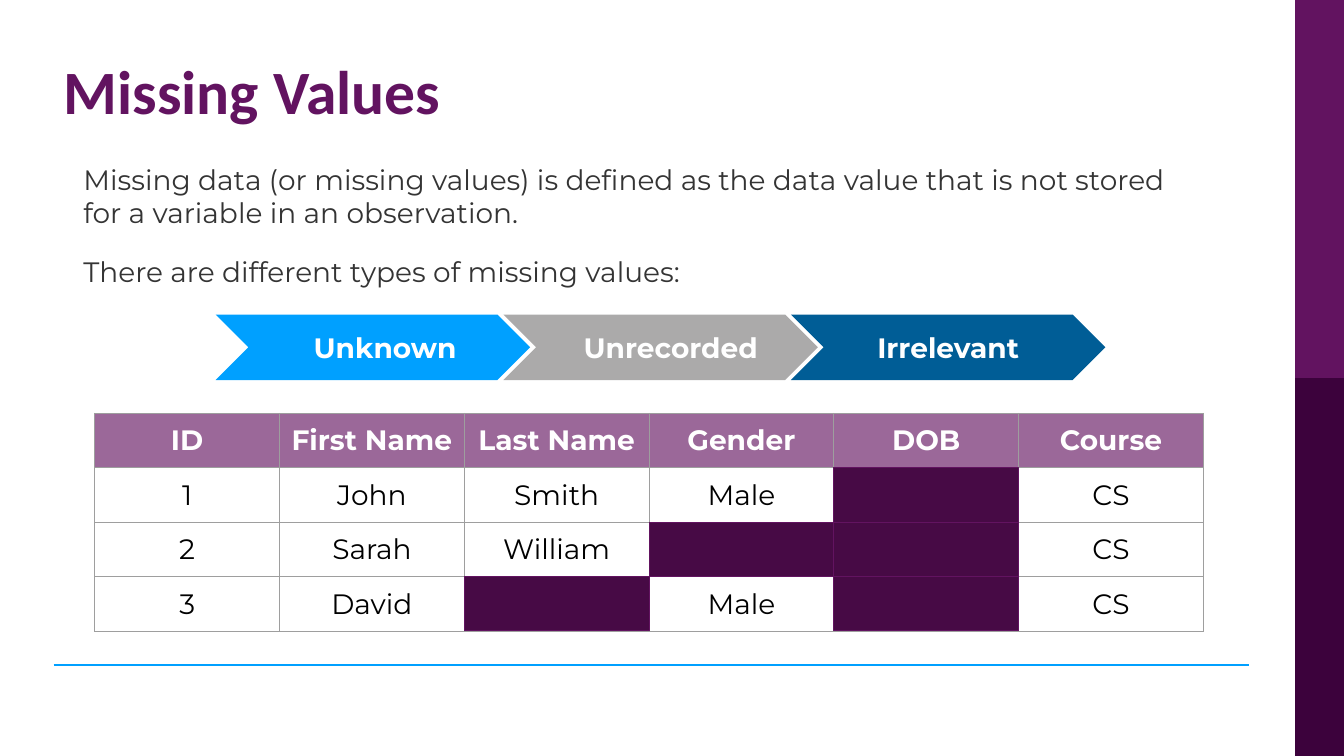
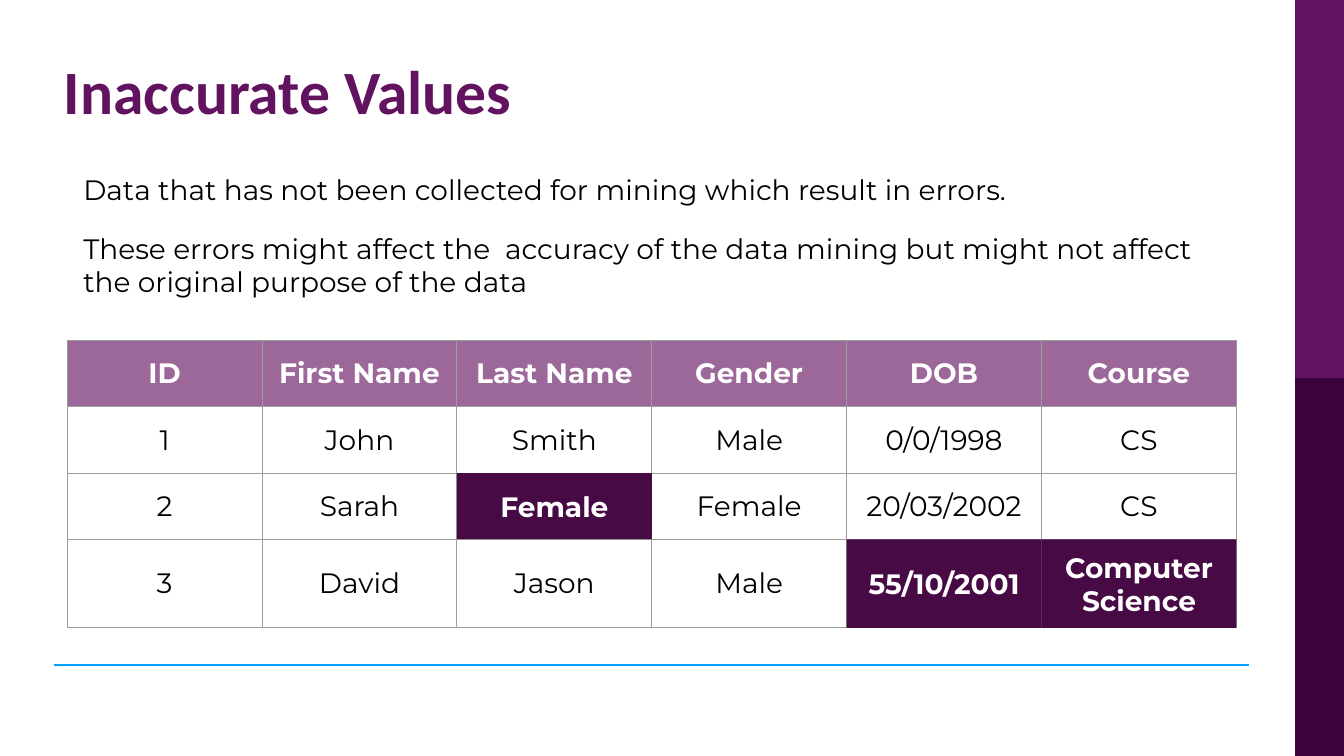
"""Build two slides on missing and inaccurate values in data."""
from dataclasses import dataclass
from typing import Optional

from lxml.etree import SubElement
from pptx import Presentation
from pptx.dml.color import RGBColor
from pptx.enum.shapes import MSO_CONNECTOR as Connector, MSO_SHAPE as Preset
from pptx.enum.text import MSO_ANCHOR as Anchor, MSO_AUTO_SIZE as AutoSize, PP_ALIGN as Align
from pptx.oxml.ns import qn
from pptx.util import Inches, Length, Pt

COLUMNS, ROWS = 40, 22.5
CELL = 1 / 3
HEADING_FONT, BODY_FONT = "Calibri", "Montserrat"
COLOURS = {
    "purple": "621360",
    "dark": "3C023C",
    "mask": "470A45",
    "header": "62105F",
    "rule": "00A0FF",
    "grey": "ABAAAA",
    "blue": "005D96",
    "border": "9E9E9E",
    "slate": "343434",
    "black": "000000",
    "white": "FFFFFF",
}


@dataclass(frozen=True)
class Area:
    """A rectangle measured in grid cells."""
    left: float
    top: float
    width: float
    height: float

    def lengths(self) -> tuple:
        return tuple(map(cells, (self.left, self.top, self.width, self.height)))


@dataclass(frozen=True)
class Band:
    area: Area
    colour: str


@dataclass(frozen=True)
class Step:
    label: str
    colour: str
    left_inset: float


@dataclass(frozen=True)
class DataTable:
    left: float
    top: float
    column_width: float
    row_heights: tuple
    records: tuple
    masked: tuple
    mask_line: Optional[str] = None


@dataclass(frozen=True)
class Page:
    title: str
    body: tuple
    body_top: float
    body_colour: str
    table: DataTable
    steps: tuple = ()


TITLE_AREA = Area(1.6, 1.83, 35.5, 3)
BANDS = (
    Band(Area(38.55, ROWS / 2, 1.45, ROWS / 2), "dark"),
    Band(Area(38.55, 0, 1.45, ROWS / 2), "purple"),
)
RULE = Area(1.6, 19.8, 35.57, 0)
FIRST_STEP = Area(6.42, 9.36, 9.36, 1.95)
STEP_PITCH = 8.56
HEADER = ("ID", "First Name", "Last Name", "Gender", "DOB", "Course")

PAGES = (
    Page(
        "Missing Values",
        (
            "Missing data (or missing values) is defined as the data value that is not stored "
            "for a variable in an observation.",
            "There are different types of missing values:",
        ),
        4.53,
        "slate",
        DataTable(
            2.82, 12.3, 5.5, (1.62,) * 4,
            (
                HEADER,
                ("1", "John", "Smith", "Male", "", "CS"),
                ("2", "Sarah", "William", "", "", "CS"),
                ("3", "David", "", "Male", "", "CS"),
            ),
            ((3, 2), (2, 3), (1, 4), (2, 4), (3, 4)),
            "purple",
        ),
        (
            Step("Unknown", "rule", 0.34),
            Step("Unrecorded", "grey", 0.3),
            Step("Irrelevant", "blue", 0.1),
        ),
    ),
    Page(
        "Inaccurate Values",
        (
            "Data that has not been collected for mining which result in errors.",
            "These errors might affect the  accuracy of the data mining but might not affect "
            "the original purpose of the data",
        ),
        4.83,
        "black",
        DataTable(
            2, 10.14, 5.8, (1.97, 1.97, 1.97, 2.64),
            (
                HEADER,
                ("1", "John", "Smith", "Male", "0/0/1998", "CS"),
                ("2", "Sarah", "Female", "Female", "20/03/2002", "CS"),
                ("3", "David", "Jason", "Male", "55/10/2001", "Computer Science"),
            ),
            ((3, 4), (3, 5), (2, 2)),
        ),
    ),
)


def cells(count: float) -> Length:
    return Inches(count * CELL)


def colour(name: str) -> RGBColor:
    return RGBColor.from_string(COLOURS[name])


def place(shape, area: Area) -> None:
    shape.left, shape.top, shape.width, shape.height = area.lengths()


def set_frame(frame, *, anchor=Anchor.MIDDLE, left: float = 0.1, upright: float = 0.1) -> None:
    frame.word_wrap = True
    frame.auto_size = AutoSize.NONE
    frame.vertical_anchor = anchor
    frame.margin_left, frame.margin_right = Inches(left), Inches(0.1)
    frame.margin_top = frame.margin_bottom = Inches(upright)


def write(para, text: str, *, size: float = 20, font: str = BODY_FONT, ink: str = "black",
          bold: bool = False, align=Align.CENTER, spacing: float = 1.0,
          before: float = 0, after: float = 0) -> None:
    para.alignment = align
    para.line_spacing = spacing
    para.space_before, para.space_after = Pt(before), Pt(after)
    span = para.add_run()
    span.text = text
    span.font.name, span.font.size, span.font.bold = font, Pt(size), bold
    span.font.color.rgb = colour(ink)


def add_block(slide, preset, area: Area, fill: str, line: Optional[str] = None):
    block = slide.shapes.add_shape(preset, *area.lengths())
    block.shadow.inherit = False
    block.fill.solid()
    block.fill.fore_color.rgb = colour(fill)
    if line:
        block.line.color.rgb = colour(line)
        block.line.width = Pt(0.75)
    else:
        block.line.fill.background()
    return block


def add_frame_marks(slide) -> None:
    for band in BANDS:
        add_block(slide, Preset.RECTANGLE, band.area, band.colour)
    left, top, width, _ = RULE.lengths()
    rule = slide.shapes.add_connector(Connector.STRAIGHT, left, top, left + width, top)
    rule.line.color.rgb = colour("rule")
    rule.line.width = Pt(1.5)
    SubElement(rule.element.spPr, qn("a:effectLst"))


def fill_title(slide, text: str) -> None:
    title = slide.shapes.title
    place(title, TITLE_AREA)
    set_frame(title.text_frame, anchor=Anchor.TOP, upright=0.05)
    write(title.text_frame.paragraphs[0], text, size=44, font=HEADING_FONT, ink="purple",
          bold=True, align=Align.LEFT, spacing=0.82)


def fill_body(slide, page: Page) -> None:
    body = slide.placeholders[1]
    place(body, Area(2, page.body_top, 34, 4.2))
    frame = body.text_frame
    set_frame(frame, anchor=Anchor.TOP)
    for index, text in enumerate(page.body):
        para = frame.add_paragraph() if index else frame.paragraphs[0]
        properties = para._p.get_or_add_pPr()
        properties.set("marL", str(Inches(0.06)))
        properties.set("indent", "0")
        SubElement(properties, qn("a:buNone"))
        gap = 18 if index else 0
        write(para, text, ink=page.body_colour, align=Align.LEFT, before=gap, after=gap)


def add_steps(slide, steps: tuple) -> None:
    for index, step in enumerate(steps):
        area = Area(FIRST_STEP.left + index * STEP_PITCH, FIRST_STEP.top,
                    FIRST_STEP.width, FIRST_STEP.height)
        chevron = add_block(slide, Preset.CHEVRON, area, step.colour)
        set_frame(chevron.text_frame, left=step.left_inset, upright=0.05)
        write(chevron.text_frame.paragraphs[0], step.label, ink="white", bold=True)


def style_cell(cell, is_header: bool) -> None:
    properties = cell._tc.get_or_add_tcPr()
    for side in ("lnL", "lnR", "lnT", "lnB"):
        edge = SubElement(properties, qn(f"a:{side}"), w=str(Pt(0.75)))
        SubElement(SubElement(edge, qn("a:solidFill")), qn("a:srgbClr"), val=COLOURS["border"])
    if is_header:
        cell.fill.solid()
        cell.fill.fore_color.rgb = colour("header")
        tint = properties.find(f"{qn('a:solidFill')}/{qn('a:srgbClr')}")
        SubElement(tint, qn("a:alpha"), val="63000")
    else:
        cell.fill.background()
    cell.vertical_anchor = Anchor.MIDDLE
    cell.margin_left = cell.margin_right = cell.margin_top = cell.margin_bottom = Inches(0.1)


def add_data_table(slide, data: DataTable) -> None:
    area = Area(data.left, data.top, data.column_width * len(HEADER), sum(data.row_heights))
    table = slide.shapes.add_table(len(data.records), len(HEADER), *area.lengths()).table
    table.first_row = table.horz_banding = False
    for column in table.columns:
        column.width = cells(data.column_width)
    for row_index, record in enumerate(data.records):
        table.rows[row_index].height = cells(data.row_heights[row_index])
        is_header = row_index == 0
        for column_index, text in enumerate(record):
            cell = table.cell(row_index, column_index)
            style_cell(cell, is_header)
            if text:
                write(cell.text_frame.paragraphs[0], text, bold=is_header,
                      ink="white" if is_header else "black")


def add_masks(slide, data: DataTable) -> None:
    for row, column in data.masked:
        area = Area(data.left + column * data.column_width,
                    data.top + sum(data.row_heights[:row]),
                    data.column_width, data.row_heights[row])
        mask = add_block(slide, Preset.RECTANGLE, area, "mask", data.mask_line)
        text = data.records[row][column]
        if text == "Jason":
            continue
        if text:
            set_frame(mask.text_frame)
            write(mask.text_frame.paragraphs[0], text, ink="white", bold=True)


def main() -> None:
    deck = Presentation()
    deck.slide_width, deck.slide_height = cells(COLUMNS), cells(ROWS)
    for page in PAGES:
        slide = deck.slides.add_slide(deck.slide_layouts[1])
        add_frame_marks(slide)
        fill_title(slide, page.title)
        fill_body(slide, page)
        add_steps(slide, page.steps)
        add_data_table(slide, page.table)
        add_masks(slide, page.table)
    deck.save("out.pptx")


if __name__ == "__main__":
    main()
